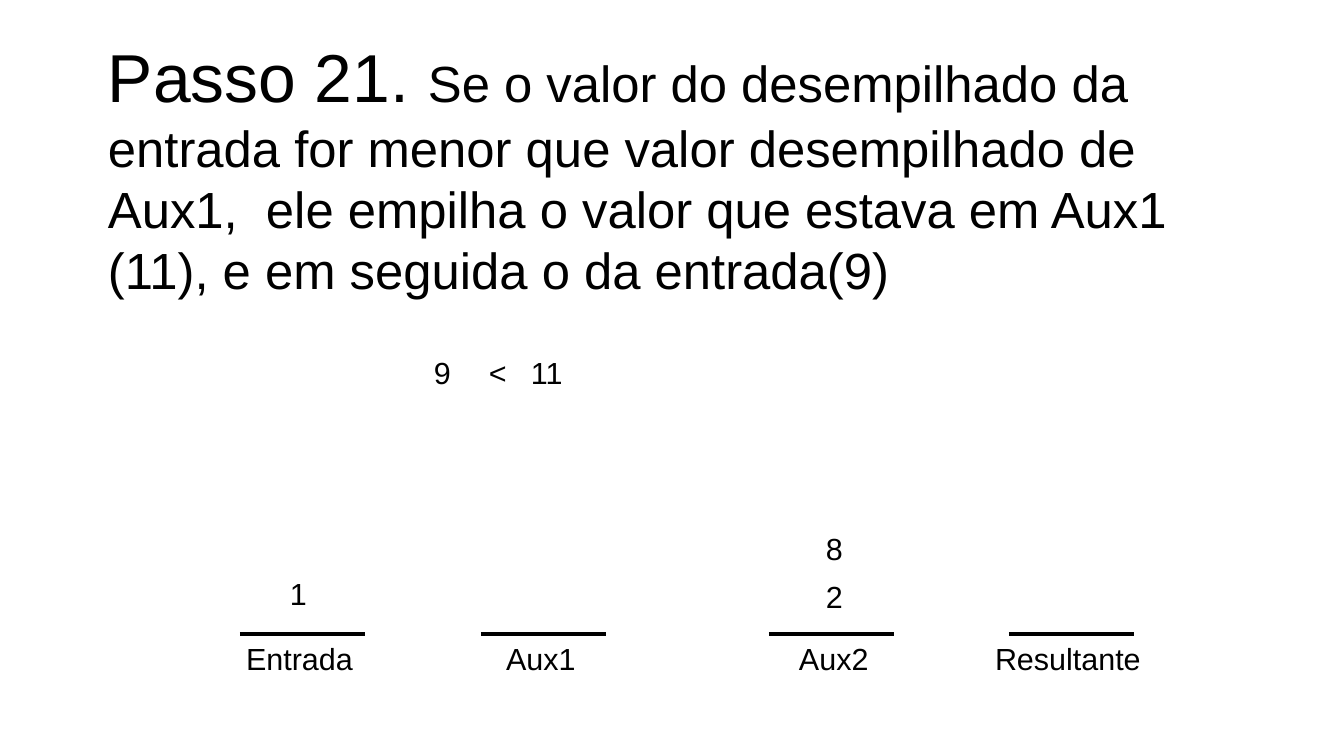
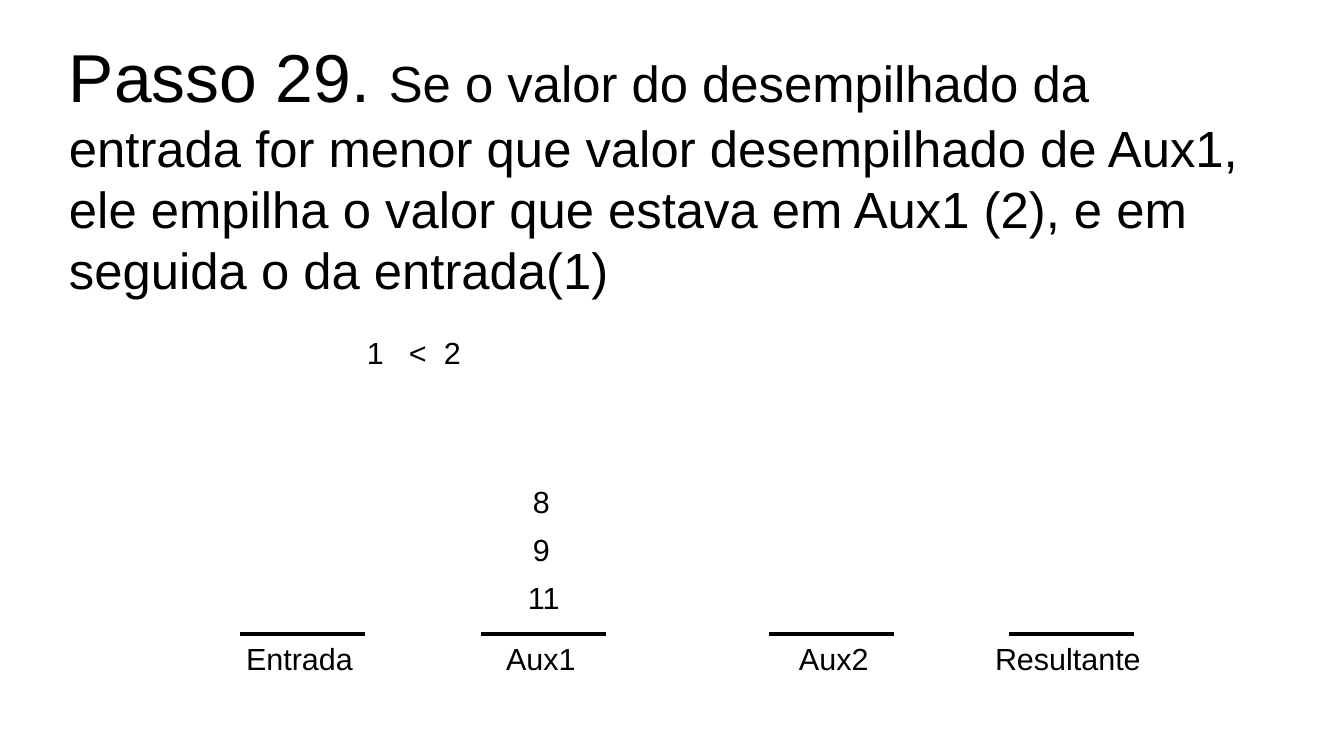
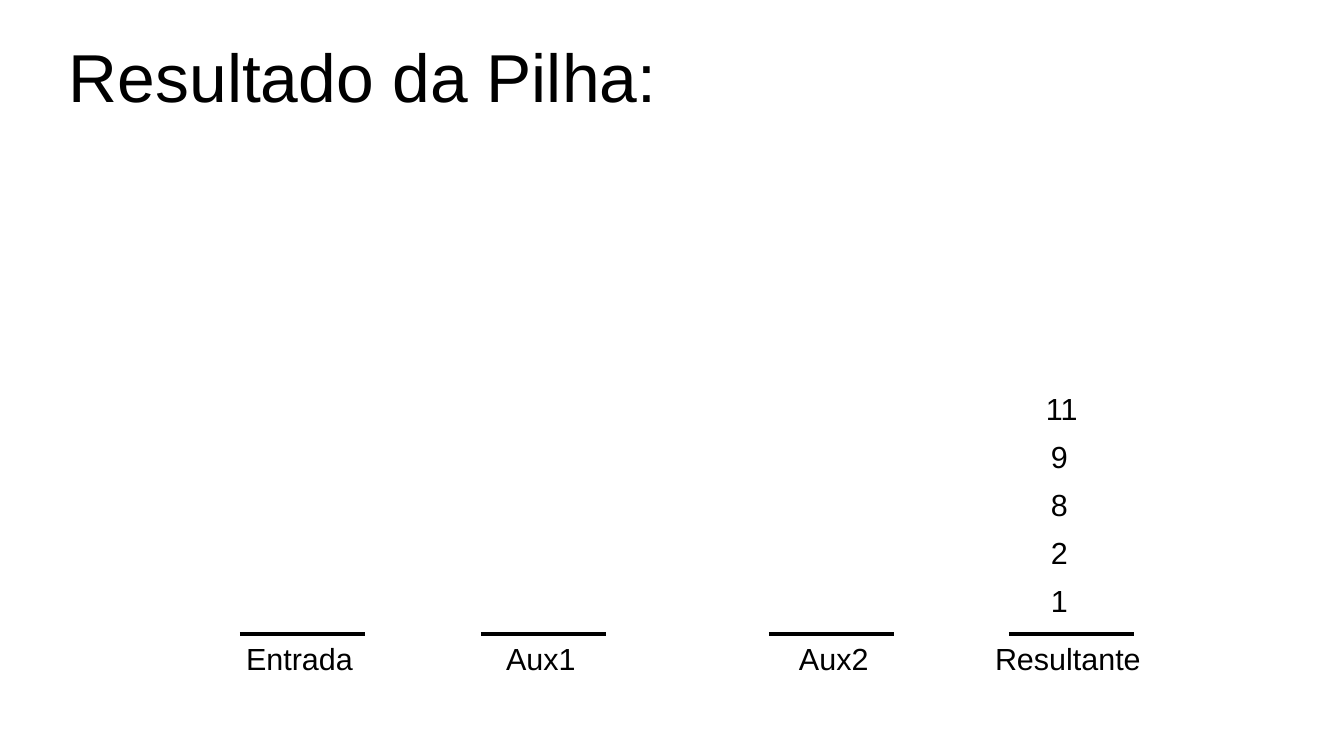
"""Build three slides that follow a stack sort from step 21 to its result."""
from dataclasses import dataclass

from lxml import etree
from pptx import Presentation, util as u
from pptx.dml.color import RGBColor
from pptx.enum import shapes, text
from pptx.oxml import ns
from pptx.slide import Slide

EMU_PER_PIXEL = 914400 / 122


@dataclass(frozen=True)
class Theme:
    font: str = "Arial"
    ink: RGBColor = RGBColor(0, 0, 0)
    paper: RGBColor = RGBColor(255, 255, 255)
    heading: int = 40
    sentence: int = 30
    label: int = 18
    line: int = 0


@dataclass(frozen=True)
class Column:
    name: str
    base_left: int
    label_left: int
    label_width: int


@dataclass(frozen=True)
class Label:
    words: str
    left: int
    top: int
    width: int


@dataclass(frozen=True)
class Stack:
    values: tuple[int, ...]
    left: int
    bottom_top: int
    width: int


@dataclass(frozen=True)
class Step:
    heading: str
    sentence: str
    left: int
    stacks: tuple[Stack, ...]
    comparison: tuple[Label, ...] = ()


THEME = Theme()
PAGE_WIDTH, PAGE_HEIGHT = 1344, 756
TITLE_TOP, TITLE_RIGHT, TITLE_HEIGHT = 29, 1287, 257
BASE_TOP, BASE_WIDTH = 634, 125
LABEL_HEIGHT = 46
NARROW, WIDE = 41, 56
STACK_PITCH = 48
TWO_DIGIT_SHIFT = 5

COLUMNS = (
    Column("Entrada", 240, 234, 131),
    Column("Aux1", 481, 494, 94),
    Column("Aux2", 769, 787, 94),
    Column("Resultante", 1009, 983, 170),
)

SENTENCE = (
    "Se o valor do desempilhado da entrada for menor que valor desempilhado "
    "de Aux1,  ele empilha o valor que estava em Aux1 ({stored}), "
    "e em seguida o da entrada({entered})"
)

STEPS = (
    Step(
        "Passo 21. ",
        SENTENCE.format(stored=11, entered=9),
        96,
        (Stack((1,), 278, 569, NARROW), Stack((2, 8), 814, 572, NARROW)),
        (
            Label("9", 422, 348, NARROW),
            Label("<", 477, 348, NARROW),
            Label("11", 519, 348, WIDE),
        ),
    ),
    Step(
        "Passo 29. ",
        SENTENCE.format(stored=2, entered=1),
        57,
        (Stack((11, 9, 8), 521, 573, WIDE),),
        (
            Label("1", 355, 328, NARROW),
            Label("<", 397, 328, NARROW),
            Label("2", 432, 328, WIDE),
        ),
    ),
    Step(
        "Resultado da Pilha:",
        "",
        57,
        (Stack((1, 2, 8, 9, 11), 1039, 576, WIDE),),
    ),
)


def px(pixels: int) -> u.Emu:
    """Turn pixels into EMU."""
    return u.Emu(round(pixels * EMU_PER_PIXEL))


def add_text(
    page: Slide,
    spans: list[tuple[str, int]],
    left: int,
    top: int,
    width: int,
    height: int,
    wrap: bool = False,
) -> None:
    """Add one paragraph whose spans each have their own size."""
    box = page.shapes.add_textbox(px(left), px(top), px(width), px(height))
    frame = box.text_frame
    frame.word_wrap = wrap
    frame.auto_size = text.MSO_AUTO_SIZE.SHAPE_TO_FIT_TEXT
    para = frame.paragraphs[0]
    for words, size in spans:
        span = para.add_run()
        span.text = words
        span.font.name = THEME.font
        span.font.size = u.Pt(size)
        span.font.color.rgb = THEME.ink


def add_label(page: Slide, label: Label) -> None:
    """Add a single small label."""
    add_text(
        page, [(label.words, THEME.label)],
        label.left, label.top, label.width, LABEL_HEIGHT,
    )


def add_column(page: Slide, column: Column) -> None:
    """Draw the base line of a stack and its name."""
    add_label(page, Label(column.name, column.label_left, BASE_TOP, column.label_width))
    base = page.shapes.add_connector(
        shapes.MSO_CONNECTOR.STRAIGHT,
        px(column.base_left), px(BASE_TOP),
        px(column.base_left + BASE_WIDTH), px(BASE_TOP),
    )
    base.line.color.rgb = THEME.ink
    base.line.width = u.Pt(THEME.line)
    etree.SubElement(base._element.spPr, ns.qn("a:effectLst"))


def add_stack(page: Slide, stack: Stack) -> None:
    """Pile values upward from the base line."""
    for level, value in enumerate(stack.values):
        shift = TWO_DIGIT_SHIFT if value > 9 else 0
        top = stack.bottom_top - level * STACK_PITCH
        add_label(page, Label(str(value), stack.left - shift, top, stack.width))


def add_title(page: Slide, step: Step) -> None:
    """Add the heading and, where there is one, its sentence."""
    spans = [(step.heading, THEME.heading)]
    if step.sentence:
        spans.append((step.sentence, THEME.sentence))
    add_text(
        page, spans, step.left, TITLE_TOP,
        TITLE_RIGHT - step.left, TITLE_HEIGHT, wrap=True,
    )


def main() -> None:
    """Build and save the deck."""
    deck = Presentation()
    deck.slide_width, deck.slide_height = px(PAGE_WIDTH), px(PAGE_HEIGHT)
    for step in STEPS:
        page = deck.slides.add_slide(deck.slide_layouts[6])
        page.background.fill.solid()
        page.background.fill.fore_color.rgb = THEME.paper
        add_title(page, step)
        for column in COLUMNS:
            add_column(page, column)
        for stack in step.stacks:
            add_stack(page, stack)
        for label in step.comparison:
            add_label(page, label)
    deck.save("out.pptx")


main()
